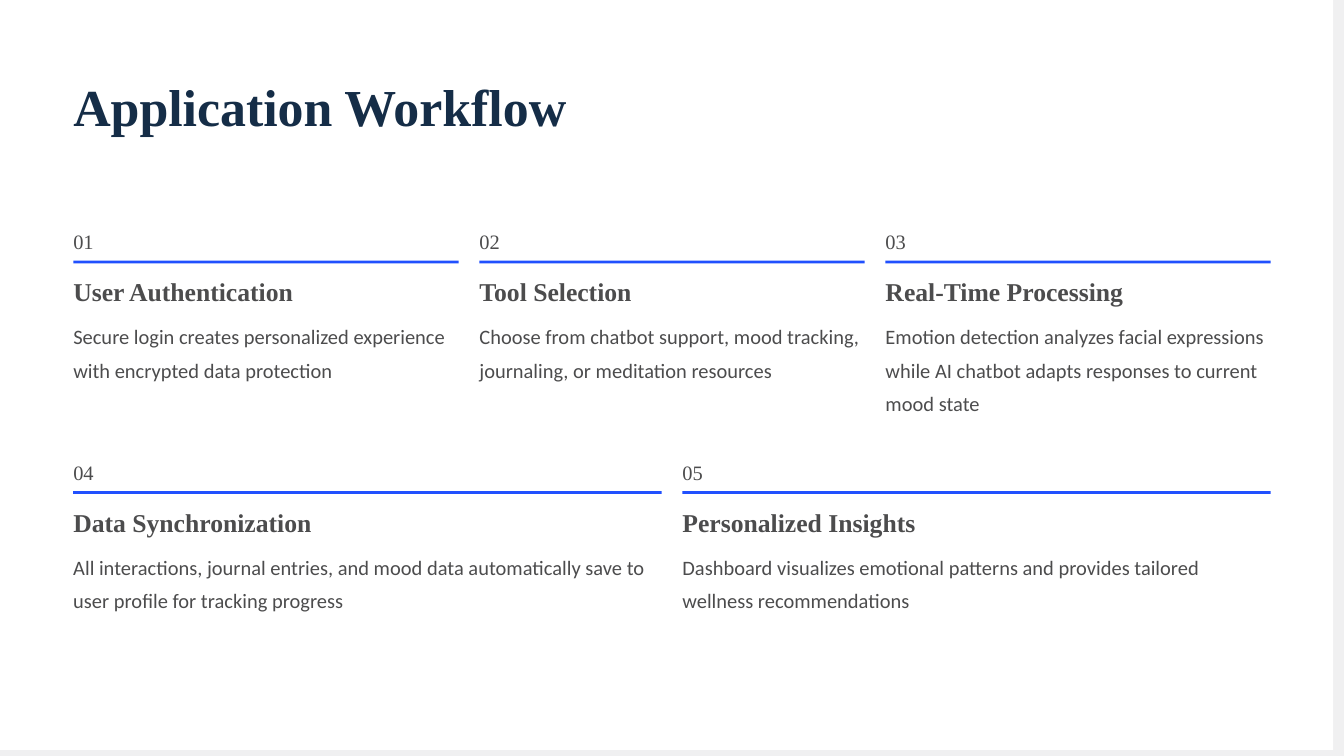
from dataclasses import dataclass

import pptx
import pptx.dml.color
import pptx.enum.shapes
import pptx.enum.text
import pptx.util

EMU_PER_PX = 9144


@dataclass(frozen=True)
class TextStyle:
    font: str
    size: float
    leading: float
    color: str
    bold: bool = False


class Theme:
    paper = "FFFFFF"
    edge = "F0F0F1"
    rule = "2150FE"
    title = TextStyle("Times New Roman", 55.6, 69.4, "152D47", True)
    number = TextStyle("Times New Roman", 21.9, 35.6, "4C4C4D")
    heading = TextStyle("Times New Roman", 27.5, 34.4, "4C4C4D", True)
    body = TextStyle("Calibri", 21.9, 35.6, "4C4C4D")


FIRST_STEPS = [
    ("User Authentication",
     "Secure login creates personalized experience with encrypted data protection"),
    ("Tool Selection",
     "Choose from chatbot support, mood tracking, journaling, or meditation resources"),
    ("Real-Time Processing",
     "Emotion detection analyzes facial expressions while AI chatbot adapts responses "
     "to current mood state"),
]
LAST_STEPS = [
    ("Data Synchronization",
     "All interactions, journal entries, and mood data automatically save to user "
     "profile for tracking progress"),
    ("Personalized Insights",
     "Dashboard visualizes emotional patterns and provides tailored wellness "
     "recommendations"),
]


def px(length):
    return pptx.util.Emu(round(length * EMU_PER_PX))


def rgb(color):
    return pptx.dml.color.RGBColor.from_string(color)


def add_block(page, left, top, width, height, color):
    block = page.shapes.add_shape(
        pptx.enum.shapes.MSO_SHAPE.RECTANGLE, px(left), px(top), px(width), px(height))
    block.shadow.inherit = False
    block.fill.solid()
    block.fill.fore_color.rgb = rgb(color)
    block.line.fill.background()


def add_text(page, left, top, width, height, text, style):
    box = page.shapes.add_textbox(px(left), px(top), px(width), px(height))
    frame = box.text_frame
    frame.margin_left = frame.margin_right = frame.margin_top = frame.margin_bottom = 0
    frame.auto_size = pptx.enum.text.MSO_AUTO_SIZE.SHAPE_TO_FIT_TEXT
    frame.word_wrap = True
    frame.text = text
    para = frame.paragraphs[0]
    para.line_spacing = pptx.util.Pt(style.leading)
    span = para.runs[0]
    span.font.name = style.font
    span.font.size = pptx.util.Pt(style.size)
    span.font.bold = style.bold
    span.font.color.rgb = rgb(style.color)


def add_backdrop(page, width, height):
    add_block(page, 0, 0, width, height, Theme.edge)
    add_block(page, -16, -9, width, height, Theme.paper)


def add_step(page, left, top, width, body_height, number, heading, body):
    add_text(page, left, top, 31, 50, f"{number:02}", Theme.number)
    add_block(page, left, top + 60, width, 4, Theme.rule)
    add_text(page, left, top + 81, 388, 52, heading, Theme.heading)
    add_text(page, left, top + 142, width, body_height, body, Theme.body)


def add_step_row(page, left, top, width, body_height, steps, first_number):
    gap = 31
    step_width = (width - gap * (len(steps) - 1)) / len(steps)
    for index, (heading, body) in enumerate(steps):
        add_step(page, left + index * (step_width + gap), top, step_width,
                 body_height, first_number + index, heading, body)


def main():
    deck = pptx.Presentation()
    deck.slide_width, deck.slide_height = px(2000), px(1125)
    page = deck.slides.add_slide(deck.slide_layouts[6])
    page.background.fill.solid()
    page.background.fill.fore_color.rgb = rgb(Theme.paper)
    add_backdrop(page, 2000, 1125)
    add_text(page, 109, 107, 775, 102, "Application Workflow", Theme.title)
    add_step_row(page, 109, 328, 1782, 158, FIRST_STEPS, 1)
    add_step_row(page, 109, 671, 1782, 109, LAST_STEPS, len(FIRST_STEPS) + 1)
    deck.save("out.pptx")


if __name__ == "__main__":
    main()
